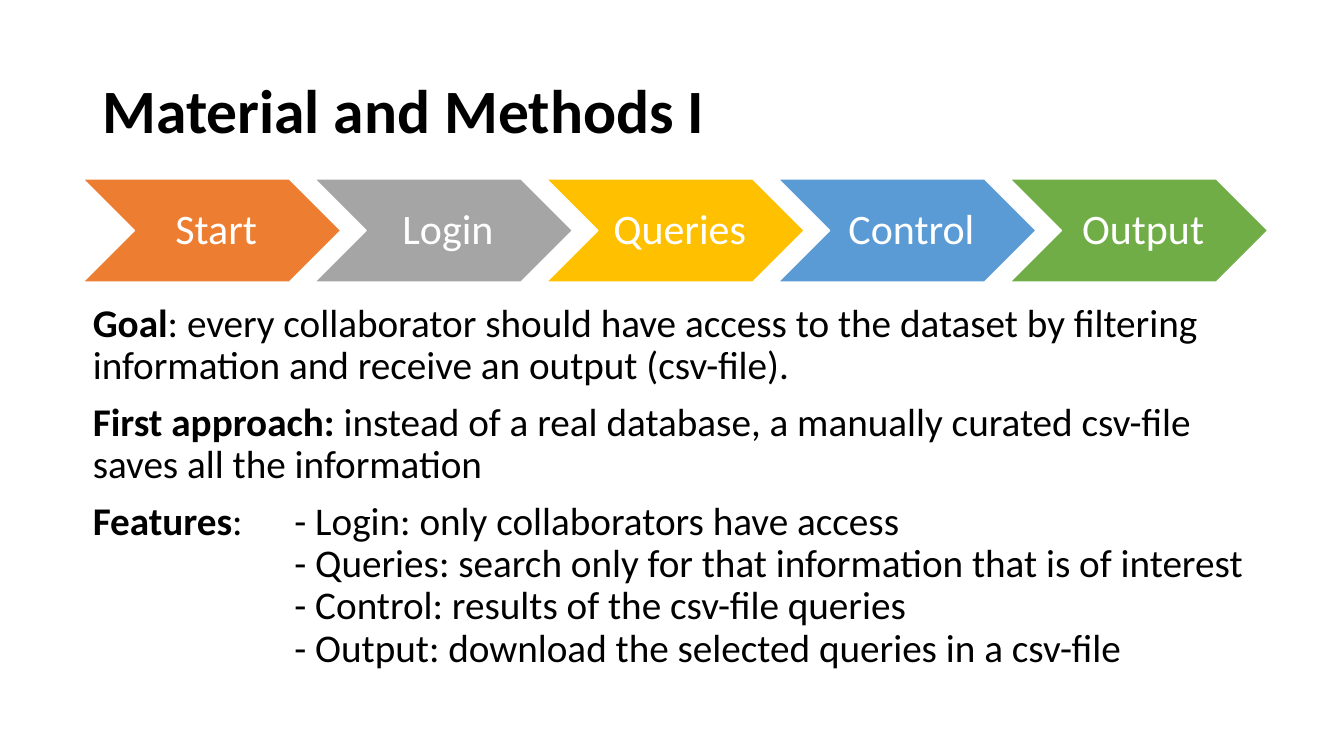
from pptx import Presentation
from pptx.dml.color import RGBColor
from pptx.enum.shapes import MSO_SHAPE
from pptx.enum.text import MSO_ANCHOR, PP_ALIGN
from pptx.util import Cm, Pt

CHEVRON = MSO_SHAPE.CHEVRON
MIDDLE = MSO_ANCHOR.MIDDLE
TOP = MSO_ANCHOR.TOP
CENTER = PP_ALIGN.CENTER

FONT = "Calibri"
BLACK, WHITE = "000000", "FFFFFF"
STEPS = [
    ("Start", "ED7D31"),
    ("Login", "A5A5A5"),
    ("Queries", "FFC000"),
    ("Control", "5B9BD5"),
    ("Output", "70AD47"),
]
STEP_LEFT, STEP_TOP, STEP_PITCH = 2.09, 4.51, 5.84
STEP_WIDTH, STEP_HEIGHT = 6.5, 2.6
FEATURE_INDENT = 5.08
STATEMENTS = [
    ("Goal", 0, [": every collaborator should have access to the dataset by filtering "
                 "information and receive an output (csv-file)."]),
    ("First approach:", 0, [" instead of a real database, a manually curated csv-file "
                            "saves all the information"]),
    ("Features", FEATURE_INDENT, [
        ": \t- Login: only collaborators have access",
        "- Queries: search only for that information that is of interest",
        "- Control: results of the csv-file queries",
        "- Output: download the selected queries in a csv-file"]),
]


def color(value):
    """Turn a hex string into a colour."""
    return RGBColor.from_string(value)


def add_span(para, text, size, shade=BLACK, bold=False):
    """Append one formatted run to a paragraph."""
    span = para.add_run()
    span.text = text
    span.font.name = FONT
    span.font.size = Pt(size)
    span.font.bold = bold
    span.font.color.rgb = color(shade)


def add_box(page, left, top, width, height, anchor):
    """Add a wrapping text box and return its text frame."""
    box = page.shapes.add_textbox(Cm(left), Cm(top), Cm(width), Cm(height))
    frame = box.text_frame
    frame.word_wrap = True
    frame.vertical_anchor = anchor
    return frame


def set_hanging_indent(para, indent):
    """Start every line but the first at the given indent."""
    properties = para._p.get_or_add_pPr()
    properties.set("marL", str(Cm(indent)))
    properties.set("indent", str(-Cm(indent)))


def add_title(page, text):
    """Add the bold heading."""
    para = add_box(page, 2.33, 1.02, 29.21, 3.68, MIDDLE).paragraphs[0]
    para.line_spacing = 0.9
    add_span(para, text, 44, bold=True)


def add_step(page, left, label, fill):
    """Add one labelled chevron of the process."""
    step = page.shapes.add_shape(
        CHEVRON, Cm(left), Cm(STEP_TOP), Cm(STEP_WIDTH), Cm(STEP_HEIGHT))
    step.shadow.inherit = False
    step.fill.solid()
    step.fill.fore_color.rgb = color(fill)
    step.line.color.rgb = color(WHITE)
    step.line.width = Pt(1)
    frame = step.text_frame
    frame.word_wrap = True
    frame.vertical_anchor = MIDDLE
    frame.margin_left = Cm(0.32)
    frame.margin_right = frame.margin_top = frame.margin_bottom = Cm(0.1)
    para = frame.paragraphs[0]
    para.alignment = CENTER
    para.line_spacing = 0.9
    add_span(para, label, 30, WHITE)


def add_statements(page, statements):
    """Add the body text, each paragraph opening with a bold lead."""
    frame = add_box(page, 2.09, 7.53, 30.38, 10.29, TOP)
    for index, (lead, indent, lines) in enumerate(statements):
        para = frame.add_paragraph() if index else frame.paragraphs[0]
        para.line_spacing = 0.9
        para.space_before = Pt(10)
        set_hanging_indent(para, indent)
        add_span(para, lead, 28, bold=True)
        for number, line in enumerate(lines):
            if number:
                para.add_line_break()
            add_span(para, line, 28)


def main():
    """Build the slide and save the deck."""
    deck = Presentation()
    deck.slide_width, deck.slide_height = Cm(33.87), Cm(19.05)
    page = deck.slides.add_slide(deck.slide_layouts[6])
    add_title(page, "Material and Methods I")
    add_statements(page, STATEMENTS)
    for index, (label, fill) in enumerate(STEPS):
        add_step(page, STEP_LEFT + index * STEP_PITCH, label, fill)
    deck.save("out.pptx")


if __name__ == "__main__":
    main()
